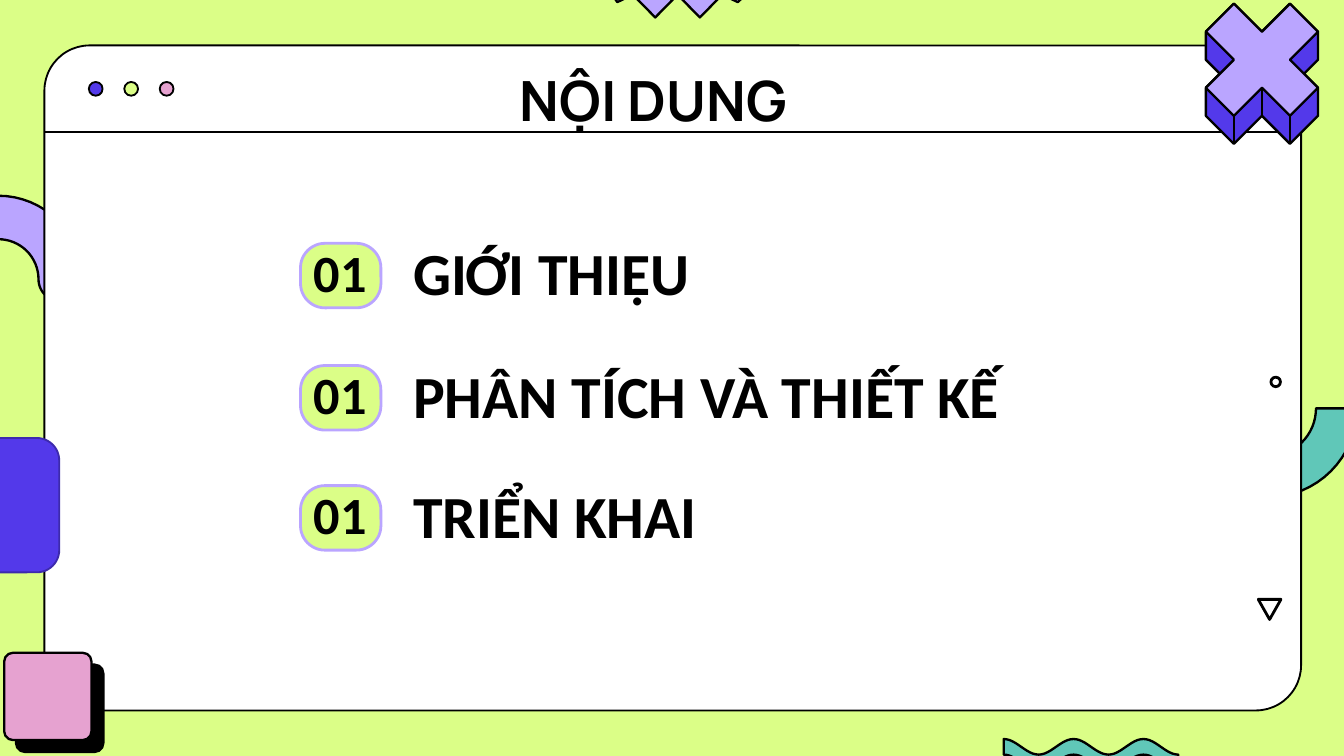
from collections import namedtuple
from dataclasses import dataclass
from math import cos, pi, radians, sin

from lxml.etree import SubElement
from pptx import Presentation
from pptx.dml.color import RGBColor
from pptx.enum.shapes import MSO_CONNECTOR, MSO_SHAPE
from pptx.enum.text import MSO_ANCHOR, PP_ALIGN
from pptx.oxml.ns import qn
from pptx.util import Cm, Pt

Box = namedtuple("Box", "left top width height")


@dataclass(frozen=True)
class Theme:
    lime: str = "DBFE87"
    lilac: str = "BAA5FF"
    violet: str = "5339EA"
    deep_violet: str = "3D2AAD"
    teal: str = "60C7B8"
    pink: str = "E6A2D0"
    white: str = "FFFFFF"
    black: str = "000000"
    heading_font: str = "Manrope"
    body_font: str = "Calibri"
    title_size: float = 29.7
    item_size: float = 32
    number_size: float = 28
    thin: float = 1
    outline: float = 1.25
    thick: float = 1.5


THEME = Theme()


# Drawing helpers
def paint(shape, fill, line=THEME.black, width=THEME.outline):
    shape.shadow.inherit = False
    if fill:
        shape.fill.solid()
        shape.fill.fore_color.rgb = RGBColor.from_string(fill)
    else:
        shape.fill.background()
    shape.line.color.rgb = RGBColor.from_string(line)
    shape.line.width = Pt(width)
    return shape


def add_preset(shapes, kind, box, fill, line=THEME.black, width=THEME.outline, corner=None):
    shape = shapes.add_shape(kind, *map(Cm, box))
    if corner is not None:
        shape.adjustments[0] = corner
    return paint(shape, fill, line, width)


def add_outline(shapes, points, fill):
    corners = [(Cm(x), Cm(y)) for x, y in points]
    builder = shapes.build_freeform(*corners[0])
    builder.add_line_segments(corners[1:], close=True)
    return paint(builder.convert_to_shape(), fill)


def add_line(shapes, start, end, width):
    connector = shapes.add_connector(MSO_CONNECTOR.STRAIGHT, *map(Cm, (*start, *end)))
    connector.line.color.rgb = RGBColor.from_string(THEME.black)
    connector.line.width = Pt(width)
    SubElement(connector._element.spPr, qn("a:effectLst"))


def add_text(shapes, box, text, font_name, size, align=PP_ALIGN.LEFT, anchor=MSO_ANCHOR.TOP):
    frame = shapes.add_textbox(*map(Cm, box)).text_frame
    frame.word_wrap = True
    frame.vertical_anchor = anchor
    paragraph = frame.paragraphs[0]
    paragraph.alignment = align
    run = paragraph.add_run()
    run.text = text
    font_format = {"name": font_name, "size": Pt(size), "bold": True}
    for attribute, value in font_format.items():
        setattr(run.font, attribute, value)
    run.font.color.rgb = RGBColor.from_string(THEME.black)


def arc(center_x, center_y, radius, start, end, steps=32):
    angles = [radians(start + (end - start) * step / steps) for step in range(steps + 1)]
    return [(center_x + radius * cos(angle), center_y + radius * sin(angle)) for angle in angles]


# Decorations
def draw_arch(shapes, box):
    outer, inner = box.width / 2, box.width * 0.24
    middle, cap = (outer + inner) / 2, (outer - inner) / 2
    x, y = box.left + outer, box.top + outer
    points = (arc(x, y, outer, 180, 360) + arc(x + middle, y, cap, 0, 180)
              + arc(x, y, inner, 360, 180) + arc(x - middle, y, cap, 0, 180))
    add_outline(shapes, points, THEME.lilac)


def draw_half_ring(shapes, box):
    x, radius = box.left + box.width / 2, box.height
    points = arc(x, box.top, radius, 0, 180) + arc(x, box.top, radius * 0.54, 180, 0)
    add_outline(shapes, points, THEME.teal)


def draw_zigzag(shapes, box):
    x_step, band = box.width / 6, 0.43
    rise = box.height - band
    upper = [(0.12, rise + 0.03), (1, 0), (2, rise + 0.01), (3, 0),
             (4, rise + 0.01), (5, 0), (5.98, rise + 0.03)]
    lower = [(5.7, rise + 0.14), (5, 0.23), (4, box.height), (3, 0.23),
             (2, box.height), (1, 0.23), (0.3, rise + 0.14)]
    add_outline(shapes, [(box.left + x * x_step, box.top + y) for x, y in upper + lower],
                THEME.lilac)


def draw_wave(shapes, box, crests=2.5, steps=60):
    amplitude = box.height / 4
    upper = [(box.left + box.width * step / steps,
              box.top + amplitude * (1 - cos(2 * pi * crests * step / steps)))
             for step in range(steps + 1)]
    lower = [(x, y + box.height / 2) for x, y in reversed(upper)]
    add_outline(shapes, upper + lower, THEME.teal)


def draw_cross(shapes, box):
    parts = shapes.add_group_shape().shapes
    unit = box.width / 4

    def place(points):
        return [(box.left + x * unit, box.top + y * unit) for x, y in points]

    body = [(4, 1), (4, 2), (3.5, 2.5), (4, 3), (4, 4), (3, 5), (2, 4), (1, 5),
            (0, 4), (0, 3), (0.5, 2.5), (0, 2), (0, 1), (1, 0), (2, 1), (3, 0)]
    face = [(3, 0), (4, 1), (3, 2), (4, 3), (3, 4), (2, 3),
            (1, 4), (0, 3), (1, 2), (0, 1), (1, 0), (2, 1)]
    add_outline(parts, place(body), THEME.violet)
    add_outline(parts, place(face), THEME.lilac)
    for x, y in ((1, 4), (2, 3), (3, 4)):
        add_line(parts, *place([(x, y), (x, y + 1)]), THEME.outline)


def draw_pink_tile(shapes, box):
    tile = add_preset(shapes, MSO_SHAPE.ROUNDED_RECTANGLE, box, THEME.pink, corner=0.1)
    effects = tile._element.spPr.find(qn("a:effectLst"))
    shadow = SubElement(effects, qn("a:outerShdw"), dist=str(Pt(9)), dir="2700000",
                        algn="bl", rotWithShape="0")
    SubElement(shadow, qn("a:srgbClr"), val=THEME.black)


# Window frame with its title bar, buttons and scroll marks
def draw_window(shapes, box):
    add_preset(shapes, MSO_SHAPE.ROUNDED_RECTANGLE, box, THEME.white,
               width=THEME.thin, corner=0.068)
    bar_bottom = box.top + 1.64
    add_line(shapes, (box.left, bar_bottom), (box.left + box.width, bar_bottom), THEME.thin)
    add_text(shapes, Box(box.left + 0.82, box.top + 0.51, 21.39, 1.02), "NỘI DUNG",
             THEME.heading_font, THEME.title_size, PP_ALIGN.CENTER, MSO_ANCHOR.MIDDLE)
    for index, color in enumerate((THEME.violet, THEME.lime, THEME.pink)):
        dot = Box(box.left + 0.84 + index * 0.67, box.top + 0.69, 0.26, 0.26)
        add_preset(shapes, MSO_SHAPE.OVAL, dot, color, width=THEME.thin)
    right = box.left + box.width
    add_preset(shapes, MSO_SHAPE.FLOWCHART_MERGE,
               Box(right - 0.81, box.top + 10.47, 0.43, 0.38), None, width=THEME.thick)
    add_preset(shapes, MSO_SHAPE.OVAL,
               Box(right - 0.57, box.top + 6.27, 0.18, 0.18), None, width=THEME.thick)


# One line of the table of contents
def draw_item(shapes, box, number, text):
    badge = shapes.add_group_shape().shapes
    add_preset(badge, MSO_SHAPE.ROUNDED_RECTANGLE,
               Box(box.left, box.top + 0.26, 1.52, 1.22),
               THEME.lime, THEME.lilac, THEME.thick, corner=0.379)
    add_text(badge, Box(box.left, box.top + 0.08, 1.52, 1.45), number,
             THEME.body_font, THEME.number_size)
    add_text(shapes, Box(box.left + 1.88, box.top, box.width - 1.88, box.height), text,
             THEME.body_font, THEME.item_size)


def draw_contents_slide(slide, box):
    slide.background.fill.solid()
    slide.background.fill.fore_color.rgb = RGBColor.from_string(THEME.lime)
    shapes = slide.shapes
    draw_arch(shapes, Box(-1.61, 3.7, 3.16, 2.08))
    draw_half_ring(shapes, Box(22.3, 7.72, 3.33, 1.68))
    draw_window(shapes, Box(box.left + 0.84, box.top + 0.86, box.width - 1.65, 12.57))
    draw_cross(shapes, Box(22.79, 0.07, 2.12, 2.65))
    draw_pink_tile(shapes, Box(0.08, 12.34, 1.65, 1.65))
    draw_zigzag(shapes, Box(11.54, -0.33, 2.53, 0.66))
    draw_wave(shapes, Box(18.97, 13.97, 3.3, 0.59))
    items = {"GIỚI THIỆU": 4.34, "PHÂN TÍCH VÀ THIẾT KẾ": 6.65, "TRIỂN KHAI": 8.92}
    for text, top in items.items():
        draw_item(shapes, Box(5.68, top, 15.48, 1.62), "01", text)
    add_preset(shapes, MSO_SHAPE.ROUNDED_RECTANGLE, Box(-1.42, 8.28, 2.54, 2.54),
               THEME.violet, THEME.deep_violet, THEME.thin)


def main():
    presentation = Presentation()
    page = Box(0, 0, 25.4, 14.29)
    presentation.slide_width, presentation.slide_height = Cm(page.width), Cm(page.height)
    slide = presentation.slides.add_slide(presentation.slide_layouts[6])
    draw_contents_slide(slide, page)
    presentation.save("out.pptx")


if __name__ == "__main__":
    main()
